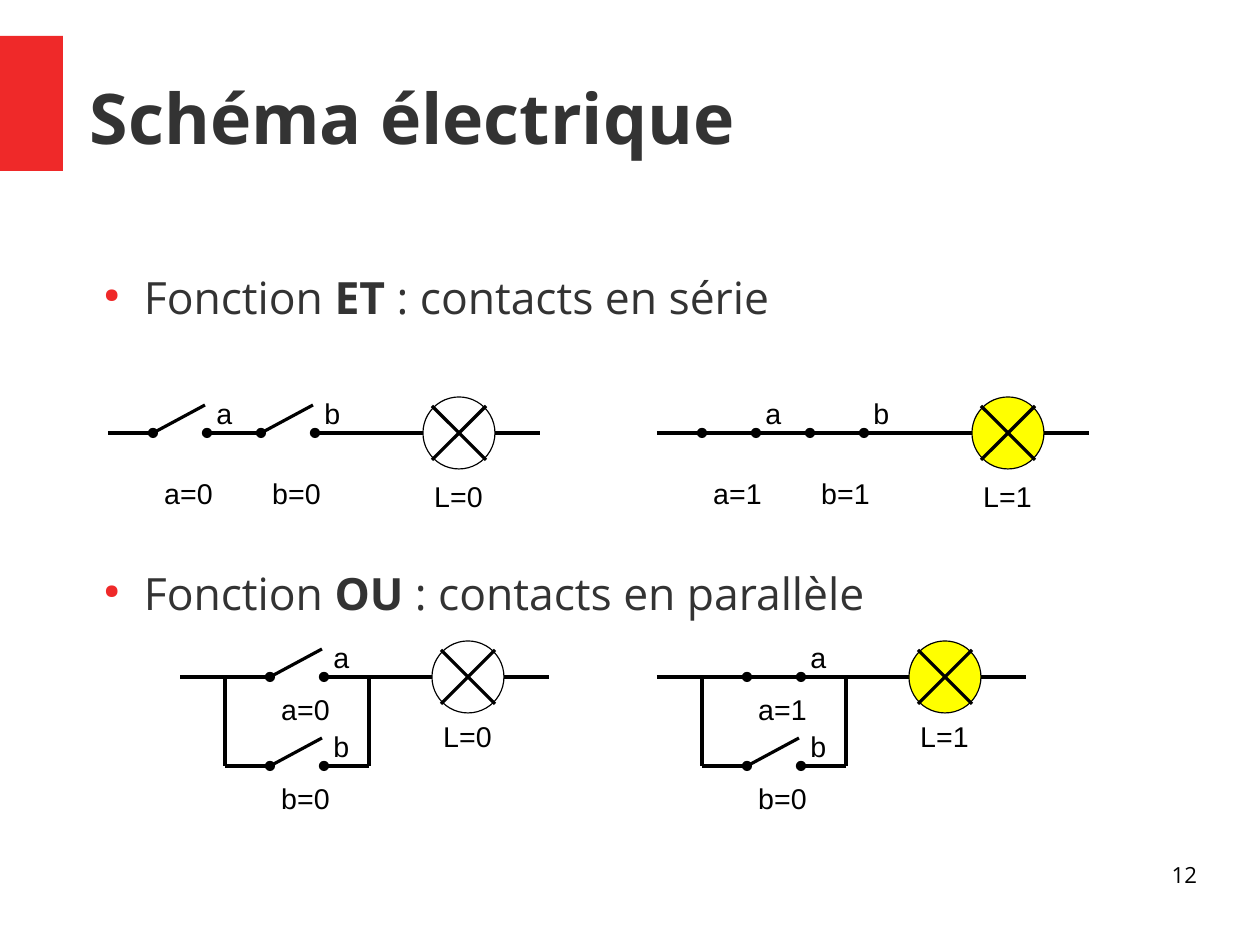
from pptx import Presentation
from pptx.dml.color import RGBColor
from pptx.enum.shapes import MSO_CONNECTOR, MSO_SHAPE
from pptx.enum.text import MSO_ANCHOR, PP_ALIGN
from pptx.oxml.ns import qn
from pptx.util import Pt
from lxml.etree import SubElement

RED = RGBColor(0xEF, 0x29, 0x29)
DARK = RGBColor(0x33, 0x33, 0x33)
BLACK = RGBColor(0, 0, 0)
YELLOW = RGBColor(0xFF, 0xFF, 0)

TITLE = "Schéma électrique"
FUNCTIONS = [
    ("Fonction ", "ET\u00a0", ": contacts en série"),
    ("Fonction ", "OU\u00a0", ": contacts en parallèle"),
]
PAGE_NUMBER = "12"
SERIES = [(108, {"a": 0, "b": 0}, 0), (657, {"a": 1, "b": 1}, 1)]
PARALLEL = [(180, {"a": 0, "b": 0}, 0), (657, {"a": 1, "b": 0}, 1)]

SCALE = 8000
LEAD = 45
CONTACT = 54
ARM = 52
ARM_RISE = 28
DOT = 9
LAMP = 72
CROSS = 27
SERIES_Y = 433
BRANCH_YS = (677, 766)


def px(*lengths):
    return [round(length * SCALE) for length in lengths]


def add_line(x1, y1, x2, y2):
    line = slide.shapes.add_connector(MSO_CONNECTOR.STRAIGHT, *px(x1, y1, x2, y2))
    line.line.color.rgb = BLACK
    line.line.width = 0
    SubElement(line._element.spPr, qn("a:effectLst"))


def add_circle(x, y, size, color):
    circle = slide.shapes.add_shape(
        MSO_SHAPE.OVAL, *px(x - size / 2, y - size / 2, size, size))
    circle.shadow.inherit = False
    if color is None:
        circle.fill.background()
    else:
        circle.fill.solid()
        circle.fill.fore_color.rgb = color
    circle.line.color.rgb = BLACK
    circle.line.width = 0


def add_frame(x, y, width, height):
    frame = slide.shapes.add_textbox(*px(x, y, width, height)).text_frame
    frame.word_wrap = True
    frame.margin_left = frame.margin_right = 0
    frame.margin_top = frame.margin_bottom = 0
    return frame


def set_font(paragraph, size, color, name="Open Sans"):
    paragraph.font.name = name
    paragraph.font.size = Pt(size)
    paragraph.font.color.rgb = color


def add_label(x, y, width, text):
    frame = slide.shapes.add_textbox(*px(x, y, width, 43)).text_frame
    frame.word_wrap = False
    paragraph = frame.paragraphs[0]
    paragraph.text = text
    set_font(paragraph, 18, BLACK, "Arial")


def add_contact(x, y, name, state, label_drop):
    end = x + CONTACT
    add_line(x - LEAD, y, x, y)
    add_line(end, y, end + LEAD, y)
    add_line(x, y, x + ARM, y if state else y - ARM_RISE)
    for dot_x in (x, end):
        add_circle(dot_x, y, DOT, BLACK)
    add_label(x + ARM, y - 43, 39, name)
    add_label(x, y + label_drop, 71, f"{name}={state}")


def add_lamp(x, y, state, label_drop):
    center = x + LAMP / 2
    add_line(x - 63, y, x, y)
    add_circle(center, y, LAMP, YELLOW if state else None)
    for rise in (CROSS, -CROSS):
        add_line(center - CROSS, y + rise, center + CROSS, y - rise)
    add_line(x + LAMP, y, x + LAMP + LEAD, y)
    add_label(x, y + label_drop, 81, f"L={state}")


presentation = Presentation()
presentation.slide_width, presentation.slide_height = px(1260, 945)
slide = presentation.slides.add_slide(presentation.slide_layouts[6])

accent = slide.shapes.add_shape(MSO_SHAPE.RECTANGLE, *px(0, 36, 63, 135))
accent.shadow.inherit = False
accent.fill.solid()
accent.fill.fore_color.rgb = RED
accent.line.fill.background()

title = add_frame(90, 38, 1106, 158)
title.vertical_anchor = MSO_ANCHOR.MIDDLE
title.paragraphs[0].text = TITLE
title.paragraphs[0].font.bold = True
set_font(title.paragraphs[0], 44, DARK)

body = add_frame(90, 270, 1080, 549)
for index, texts in enumerate(FUNCTIONS):
    paragraph = body.add_paragraph() if index else body.paragraphs[0]
    paragraph.space_before = Pt(153 * index)
    set_font(paragraph, 28, DARK)
    for text, bold in zip(texts, (False, True, False)):
        run = paragraph.add_run()
        run.text = text
        run.font.bold = bold
    properties = paragraph._p.get_or_add_pPr()
    indent, hanging = px(54, -40)
    properties.set("marL", str(indent))
    properties.set("indent", str(hanging))
    bullet = [SubElement(properties, qn(tag))
              for tag in ("a:buClr", "a:buSzPct", "a:buChar")]
    SubElement(bullet[0], qn("a:srgbClr")).set("val", str(RED))
    bullet[1].set("val", "45000")
    bullet[2].set("char", "●")
    properties.append(properties.find(qn("a:defRPr")))

for left, states, lit in SERIES:
    for index, (name, state) in enumerate(states.items()):
        add_contact(left + LEAD + index * 2 * CONTACT, SERIES_Y, name, state, 37)
    add_lamp(left + 315, SERIES_Y, lit, 40)

for left, states, lit in PARALLEL:
    node = left + LEAD
    for y, (name, state) in zip(BRANCH_YS, states.items()):
        add_contact(node + LEAD, y, name, state, 9)
    for x in (node, node + 2 * LEAD + CONTACT):
        add_line(x, BRANCH_YS[0], x, BRANCH_YS[1])
    add_line(left, BRANCH_YS[0], node, BRANCH_YS[0])
    add_lamp(left + 252, BRANCH_YS[0], lit, 36)

number = add_frame(903, 861, 294, 65).paragraphs[0]
number.text = PAGE_NUMBER
number.alignment = PP_ALIGN.RIGHT
set_font(number, 14, BLACK)

presentation.save("out.pptx")
